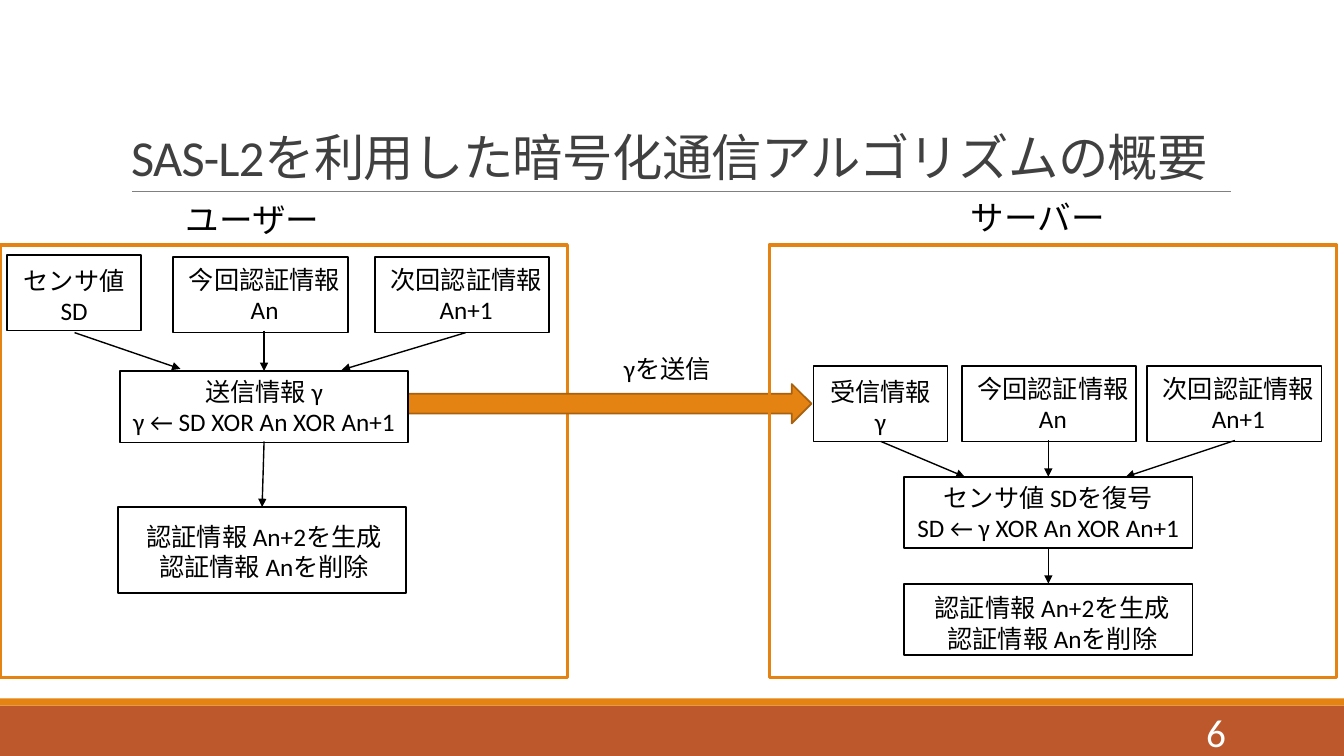
from lxml import etree
from pptx import Presentation
from pptx.dml.color import RGBColor
from pptx.enum.shapes import MSO_CONNECTOR, MSO_SHAPE
from pptx.enum.text import MSO_ANCHOR as ANCHOR, MSO_AUTO_SIZE, PP_ALIGN as ALIGN
from pptx.oxml.ns import qn
from pptx.util import Inches, Pt

BLACK, WHITE, ORANGE, RUST = "000000", "FFFFFF", "E48312", "BD582C"


def color(hex_string):
    return RGBColor.from_string(hex_string)


def cells(*lengths):
    """Turn lengths on a grid of tenth-inch cells into slide units."""
    return [Inches(length / 10) for length in lengths]


presentation = Presentation()
presentation.slide_width, presentation.slide_height = cells(133.33, 75)
slide = presentation.slides.add_slide(presentation.slide_layouts[5])
shapes = slide.shapes

# Title
title = shapes.title
title.left, title.top, title.width, title.height = cells(12, 3.1, 110, 15.9)
title.text_frame.text = "SAS-L2を利用した暗号化通信アルゴリズムの概要"
title_format = {"auto_size": MSO_AUTO_SIZE.NONE, "vertical_anchor": ANCHOR.BOTTOM,
                "word_wrap": True}
for name, value in title_format.items():
    setattr(title.text_frame, name, value)
paragraph = title.text_frame.paragraphs[0]
paragraph.alignment = ALIGN.LEFT
paragraph.line_spacing = 0.85
title_run = paragraph.runs[0]
for name, value in {"name": "Calibri", "size": Pt(36)}.items():
    setattr(title_run.font, name, value)
title_run.font.color.rgb = color("404040")
title_run.font._element.set("spc", "-50")

# Footer bars, the two party frames and the arrow between them
panels = [
    (MSO_SHAPE.RECTANGLE, (0, 70, 133.33, 5), RUST, None, 0),
    (MSO_SHAPE.RECTANGLE, (0, 69.3, 133.33, 0.7), ORANGE, None, 0),
    (MSO_SHAPE.RECTANGLE, (0, 24.3, 56.3, 42.9), None, ORANGE, 2.25),
    (MSO_SHAPE.RIGHT_ARROW, (40.3, 38.1, 40.2, 3.9), ORANGE, "A9610D", 1.25),
    (MSO_SHAPE.RECTANGLE, (76.3, 24.3, 56.3, 42.9), None, ORANGE, 2.25),
]

# Flow boxes: left, top, kind, lines; a kind gives size, text shift and anchor
kinds = {
    "value": (13.3, 7.5, 0, 1, ANCHOR.TOP),
    "key": (17.3, 7.5, 0.4, 0.7, ANCHOR.TOP),
    "formula": (28.6, 7.1, 0, 0.5, ANCHOR.MIDDLE),
    "user update": (28.6, 8.5, 0.2, 1.4, ANCHOR.TOP),
    "server update": (28.6, 7.1, 0.4, 0.9, ANCHOR.TOP),
}
current_key, next_key = ["今回認証情報An"], ["次回認証情報An+1"]
update = ["認証情報 An+2を生成", "認証情報 Anを削除"]
boxes = [
    (0.7, 25.3, "value", ["センサ値", "SD"]),
    (17.2, 25.5, "key", current_key),
    (37.2, 25.5, "key", next_key),
    (11.9, 36.8, "formula", ["送信情報 γ", "γ ← SD XOR An XOR An+1"]),
    (11.7, 50.3, "user update", update),
    (80.7, 36.3, "value", ["受信情報", "γ"]),
    (95.4, 36.3, "key", current_key),
    (113.8, 36.3, "key", next_key),
    (89.7, 47.3, "formula", ["センサ値 SDを復号", "SD ← γ XOR An XOR An+1"]),
    (89.7, 57.9, "server update", update),
]
for left, top, kind, lines in boxes:
    panels.append((MSO_SHAPE.RECTANGLE, (left, top, *kinds[kind][:2]), WHITE, BLACK, 1.25))

drawn = []
for preset, place, fill, line, line_width in panels:
    shape = shapes.add_shape(preset, *cells(*place))
    shape.shadow.inherit = False
    if fill:
        shape.fill.solid()
        shape.fill.fore_color.rgb = color(fill)
    else:
        shape.fill.background()
    if line:
        shape.line.color.rgb = color(line)
        shape.line.width = Pt(line_width)
    else:
        shape.line.fill.background()
    drawn.append(shape)

# Texts: shape, lines, size, colour, alignment, anchor, shift right, top inset
texts = []
for shape, (left, top, kind, lines) in zip(drawn[-len(boxes):], boxes):
    shift, inset, anchor = kinds[kind][2:]
    texts.append((shape, lines, 18, BLACK, ALIGN.CENTER, anchor, shift, inset))

labels = [
    ((16.2, 19.2, 17.7, 5), "ユーザー", 24, BLACK, ALIGN.CENTER, ANCHOR.TOP),
    ((94.1, 19, 17.7, 5), "サーバー", 24, BLACK, ALIGN.CENTER, ANCHOR.TOP),
    ((57.05, 34.6, 18.3, 4), "γを送信", 18, BLACK, ALIGN.CENTER, ANCHOR.TOP),
    ((108.3, 70.6, 14.3, 4), "6", 28, WHITE, ALIGN.RIGHT, ANCHOR.MIDDLE),
]
for place, label, size, ink, alignment, anchor in labels:
    shape = shapes.add_textbox(*cells(*place))
    texts.append((shape, [label], size, ink, alignment, anchor, 0, 0.5))

for shape, lines, size, ink, alignment, anchor, shift, inset in texts:
    frame = shape.text_frame
    left_margin, right_margin, top_margin = cells(1 + shift, 1 - shift, inset)
    frame_format = {"word_wrap": True, "vertical_anchor": anchor, "margin_left": left_margin,
                    "margin_right": right_margin, "margin_top": top_margin}
    for name, value in frame_format.items():
        setattr(frame, name, value)
    frame.text = "\n".join(lines)
    for paragraph in frame.paragraphs:
        paragraph.alignment = alignment
        for name, value in {"name": "Calibri", "size": Pt(size)}.items():
            setattr(paragraph.runs[0].font, name, value)
        paragraph.runs[0].font.color.rgb = color(ink)

# Title rule and flow arrows: start, end, colour, width, arrowhead
connectors = [((13.1, 19, 122.1, 19), "808080", 0.5, False)]
flows = [
    (7.4, 33, 17.9, 36.6), (26.2, 32.8, 26.2, 36.8), (46.2, 33, 33.9, 36.7),
    (26.2, 43.8, 26, 50.3),
    (87.4, 43.8, 95.7, 47.3), (104, 43.7, 104, 47.3), (122.5, 43.7, 111.7, 47.3),
    (104, 54.3, 104, 57.9),
]
connectors += [(ends, BLACK, 1, True) for ends in flows]
for ends, ink, width, has_head in connectors:
    connector = shapes.add_connector(MSO_CONNECTOR.STRAIGHT, *cells(*ends))
    connector.line.color.rgb = color(ink)
    connector.line.width = Pt(width)
    if has_head:
        etree.SubElement(connector.line._get_or_add_ln(), qn("a:tailEnd"), type="triangle")
    etree.SubElement(connector._element.spPr, qn("a:effectLst"))

presentation.save("out.pptx")
